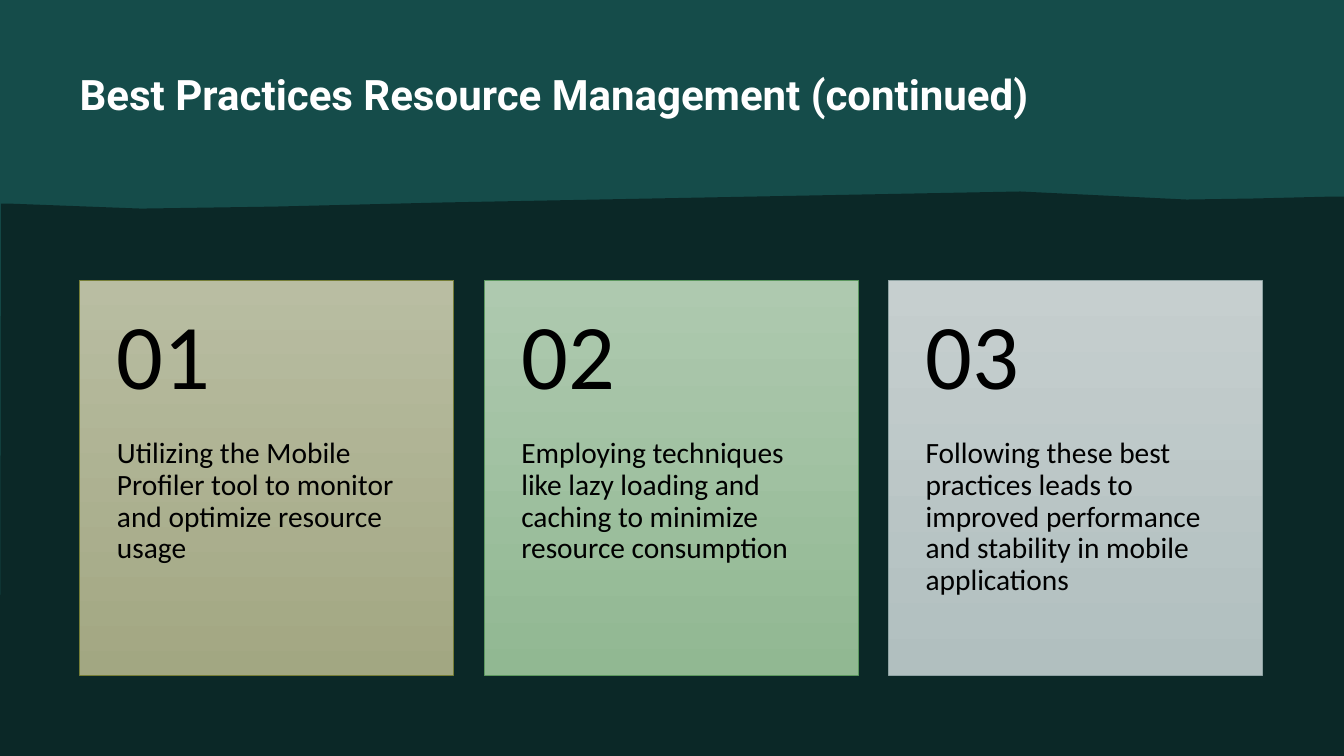
import pptx
import pptx.util
import pptx.dml.color
import pptx.enum.shapes
import pptx.enum.text

Inches, Pt = pptx.util.Inches, pptx.util.Pt
RGBColor = pptx.dml.color.RGBColor
MSO_ANCHOR = pptx.enum.text.MSO_ANCHOR
RECTANGLE = pptx.enum.shapes.MSO_SHAPE.RECTANGLE

TITLE = "Best Practices Resource Management (continued)"
DARK = RGBColor(0x0B, 0x28, 0x27)
TEAL = RGBColor(0x15, 0x4C, 0x4A)
WHITE = RGBColor(0xFF, 0xFF, 0xFF)
BLACK = RGBColor(0, 0, 0)
CARDS = [
    ("Utilizing the Mobile Profiler tool to monitor and optimize resource usage",
     RGBColor(0xB9, 0xBD, 0xA2), RGBColor(0xA2, 0xA7, 0x82), RGBColor(0x76, 0x7E, 0x37)),
    ("Employing techniques like lazy loading and caching to minimize resource consumption",
     RGBColor(0xAE, 0xC9, 0xAF), RGBColor(0x91, 0xB8, 0x92), RGBColor(0x5C, 0x98, 0x5F)),
    ("Following these best practices leads to improved performance and stability in mobile applications",
     RGBColor(0xC6, 0xCF, 0xCF), RGBColor(0xB1, 0xBF, 0xBF), RGBColor(0x8F, 0xA3, 0xA3)),
]
WIDTH, HEIGHT = 13.33, 7.5
MARGIN, GAP = 0.79, 0.3
CARD_TOP, CARD_HEIGHT = 2.78, 3.92
CARD_WIDTH = 3.71
NUMBER_HEIGHT = CARD_HEIGHT * 0.4
INSET = 0.37
EDGE = [(1, 202), (8, 202), (140, 207), (272, 205), (354, 203), (436, 201),
        (1012, 190), (1177, 198), (1243, 197), (1323, 195), (1333, 195)]


def add_rect(shapes, left, top, width, height):
    s = shapes.add_shape(RECTANGLE, Inches(left), Inches(top), Inches(width), Inches(height))
    s.shadow.inherit = False
    return s


def add_text(shapes, box, text, size, font, color, insets=(0, 0, 0, 0),
             anchor=MSO_ANCHOR.TOP, bold=False, spacing=1.0):
    tf = shapes.add_textbox(*map(Inches, box)).text_frame
    tf.word_wrap = True
    tf.vertical_anchor = anchor
    tf.margin_left, tf.margin_top, tf.margin_right, tf.margin_bottom = map(Inches, insets)
    p = tf.paragraphs[0]
    p.text = text
    p.line_spacing = spacing
    p.font.size, p.font.name, p.font.bold = Pt(size), font, bold
    p.font.color.rgb = color


def add_card(shapes, index, text, light, deep, border):
    left = MARGIN + index * (CARD_WIDTH + GAP)
    s = add_rect(shapes, left, CARD_TOP, CARD_WIDTH, CARD_HEIGHT)
    s.fill.gradient()
    s.fill.gradient_angle = 270
    for stop, color in zip(s.fill.gradient_stops, (light, deep)):
        stop.color.rgb = color
    s.fill.gradient_stops[0].position = 0
    s.fill.gradient_stops[1].position = 1
    s.line.color.rgb = border
    s.line.width = Pt(0.5)
    add_text(shapes, (left, CARD_TOP + NUMBER_HEIGHT, CARD_WIDTH, CARD_HEIGHT - NUMBER_HEIGHT),
             text, 21, "Calibri", BLACK, (INSET, 0, INSET, 0.36), spacing=0.9)
    add_text(shapes, (left, CARD_TOP, CARD_WIDTH, NUMBER_HEIGHT), f"{index + 1:02d}",
             66, "Calibri", BLACK, (INSET, 0.18, INSET, 0.18), MSO_ANCHOR.MIDDLE, spacing=0.9)


def main():
    prs = pptx.Presentation()
    prs.slide_width, prs.slide_height = Inches(WIDTH), Inches(HEIGHT)
    slide = prs.slides.add_slide(prs.slide_layouts[6])
    slide.background.fill.solid()
    slide.background.fill.fore_color.rgb = DARK
    shapes = slide.shapes

    backdrop = add_rect(shapes, 0, 0, WIDTH, HEIGHT)
    builder = shapes.build_freeform(0, 750, scale=Inches(0.01))
    builder.add_line_segments(EDGE + [(1333, 750)], close=True)
    ground = builder.convert_to_shape()
    ground.shadow.inherit = False
    for s, color in ((backdrop, TEAL), (ground, DARK)):
        s.fill.solid()
        s.fill.fore_color.rgb = color
        s.line.fill.background()

    add_text(shapes, (MARGIN, 0.68, WIDTH - 2 * MARGIN, 0.75), TITLE, 30, "Roboto", WHITE, bold=True)
    for index, card in enumerate(CARDS):
        add_card(shapes, index, *card)
    prs.save("out.pptx")


if __name__ == "__main__":
    main()
